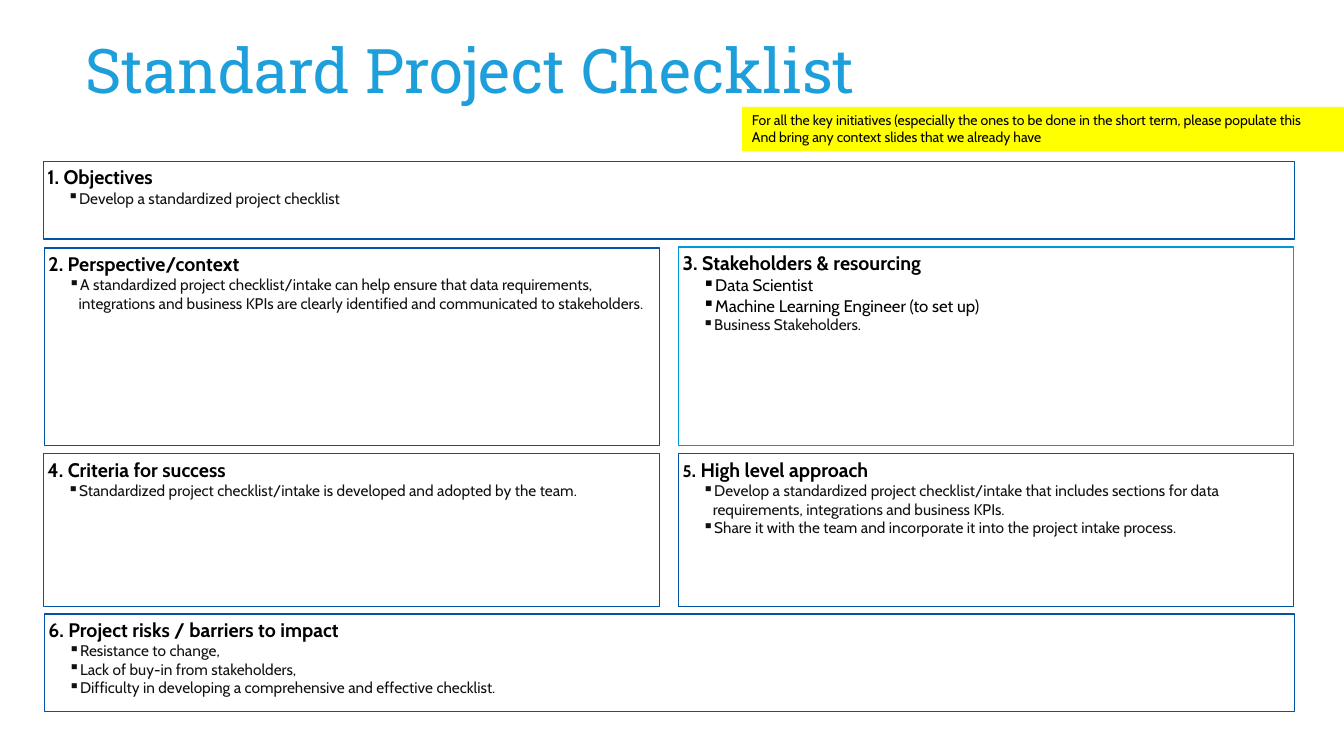
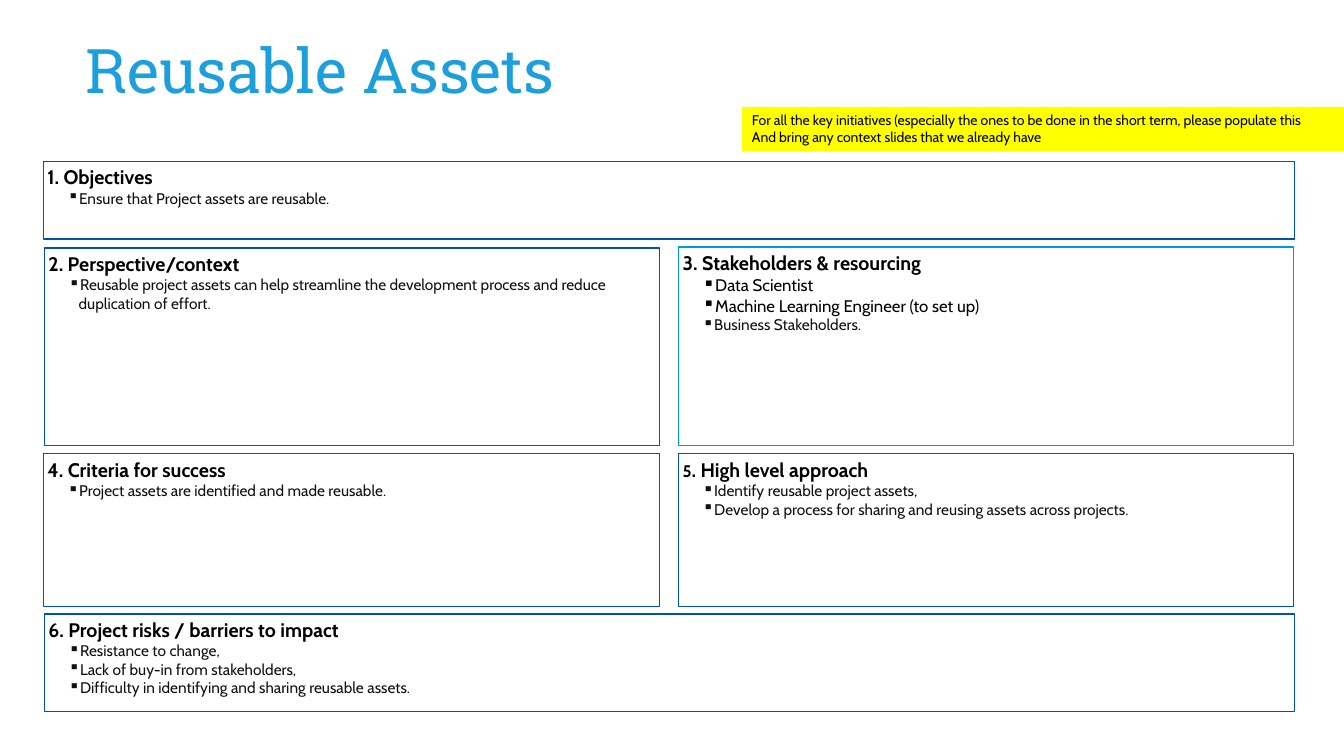
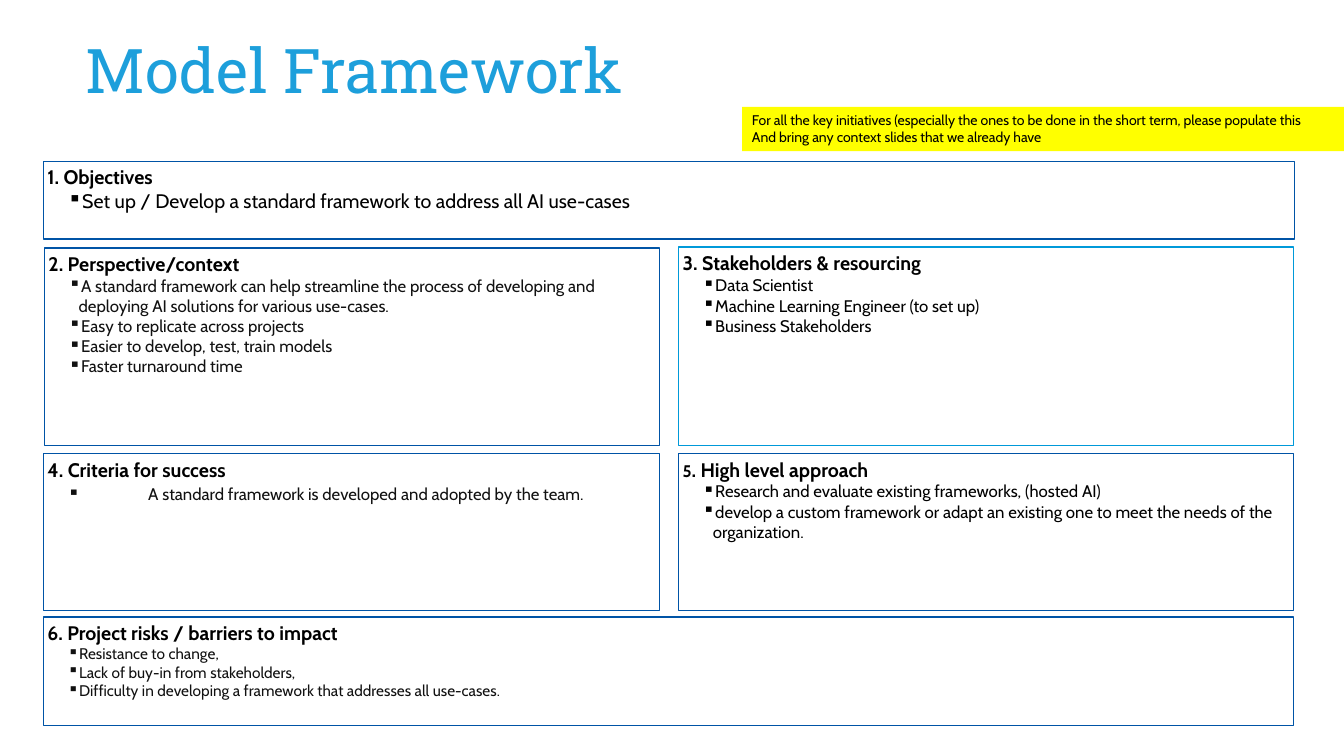
from lxml import etree
from pptx import Presentation
from pptx.dml.color import RGBColor
from pptx.enum.shapes import MSO_SHAPE
from pptx.enum.text import MSO_ANCHOR, MSO_AUTO_SIZE, PP_ALIGN
from pptx.oxml.ns import qn
from pptx.util import Inches, Pt

RECTANGLE = MSO_SHAPE.RECTANGLE
TOP, MIDDLE = MSO_ANCHOR.TOP, MSO_ANCHOR.MIDDLE
LEFT = PP_ALIGN.LEFT
GROW = MSO_AUTO_SIZE.SHAPE_TO_FIT_TEXT

COLORS = {"title": "1D9FDB", "border": "0054A6", "accent": "0099D9",
          "note": "FFFF00", "heading": "000000", "body": "111111"}
TITLE_FONT, BODY_FONT = "Roboto Slab", "Cabin"

# Bullet styles: size in points, colour
SMALL, MEDIUM = (11, "body"), (12, "body")
STRONG, LARGE = (12, "heading"), (14, "heading")
INDENT, WIDE_INDENT, BULLET_AT = 0.3, 1.0, 0.2

# Headings as runs of (text, size)
HEADINGS = {
    "objectives": [("1. Objectives", 14)],
    "context": [("2. Perspective/context", 14)],
    "resourcing": [("3. Stakeholders & resourcing", 14)],
    "criteria": [("4. Criteria for success", 14)],
    "approach": [("5", 12), (". High level approach", 14)],
    "risks": [("6. Project risks / barriers to impact", 14)],
}
NOTE = [
    "For all the key initiatives (especially the ones to be done in the short term, please populate this",
    "And bring any context slides that we already have",
]
TEAM = [("Data Scientist", STRONG), ("Machine Learning Engineer (to set up)", STRONG)]
COMMON_RISKS = [("Resistance to change,", SMALL),
                ("Lack of buy-in from stakeholders,", SMALL)]

# Card positions: left, top, width, height
CARDS = {
    "objectives": (0.43, 1.6, 12.41, 0.77),
    "context": (0.44, 2.46, 6.1, 1.96),
    "resourcing": (6.73, 2.45, 6.1, 1.97),
    "criteria": (0.43, 4.5, 6.11, 1.52),
    "approach": (6.73, 4.5, 6.1, 1.52),
    "risks": (0.44, 6.09, 12.4, 0.97),
}
TALL_CARDS = CARDS | {
    "criteria": (0.43, 4.5, 6.11, 1.56),
    "approach": (6.73, 4.5, 6.1, 1.56),
    "risks": (0.43, 6.12, 12.4, 1.08),
}
TEAM_AREA = (6.73, 2.69, 6.1, 1.73)
TITLE_AREA = (0.75, 0.14, 11.7, 1.17)
NOTE_AREA = (7.36, 1.06, 6.1, 0.44)

PROJECTS = [
    {"title": "Standard Project Checklist", "cards": CARDS,
     "objectives": [("Develop a standardized project checklist", SMALL)],
     "context": [("A standardized project checklist/intake can help ensure that data requirements, "
                  "integrations and business KPIs are clearly identified and communicated to "
                  "stakeholders.", SMALL)],
     "team": TEAM + [("Business Stakeholders.", SMALL)],
     "criteria": [("Standardized project checklist/intake is developed and adopted by the team.", SMALL)],
     "approach": [("Develop a standardized project checklist/intake that includes sections for data "
                   "requirements, integrations and business KPIs.", SMALL),
                  ("Share it with the team and incorporate it into the project intake process.", SMALL)],
     "risks": COMMON_RISKS + [
         ("Difficulty in developing a comprehensive and effective checklist.", SMALL)]},
    {"title": "Reusable Assets", "cards": CARDS,
     "objectives": [("Ensure that Project assets are reusable.", SMALL)],
     "context": [("Reusable project assets can help streamline the development process and reduce "
                  "duplication of effort.", SMALL)],
     "team": TEAM + [("Business Stakeholders.", SMALL)],
     "criteria": [("Project assets are identified and made reusable.", SMALL)],
     "approach": [("Identify reusable project assets,", SMALL),
                  ("Develop a process for sharing and reusing assets across projects.", SMALL)],
     "risks": COMMON_RISKS + [
         ("Difficulty in identifying and sharing reusable assets.", SMALL)]},
    {"title": "Model Framework", "cards": TALL_CARDS, "wide": "criteria",
     "objectives": [("Set up / Develop a standard framework to address all AI use-cases", LARGE)],
     "context": [("A standard framework can help streamline the process of developing and deploying "
                  "AI solutions for various use-cases.", MEDIUM),
                 ("Easy to replicate across projects", MEDIUM),
                 ("Easier to develop, test, train models", MEDIUM),
                 ("Faster turnaround time", MEDIUM)],
     "team": TEAM + [("Business Stakeholders", STRONG)],
     "criteria": [("A standard framework is developed and adopted by the team.", MEDIUM)],
     "approach": [("Research and evaluate existing frameworks, (hosted AI)", STRONG),
                  ("develop a custom framework or adapt an existing one to meet the needs of the "
                   "organization.", STRONG)],
     "risks": COMMON_RISKS + [
         ("Difficulty in developing a framework that addresses all use-cases.", SMALL)]},
]


def color(key):
    return RGBColor.from_string(COLORS[key])


def add_run(paragraph, text, size, color_key, font=BODY_FONT, bold=False):
    run = paragraph.add_run()
    run.text = text
    run.font.size, run.font.name, run.font.bold = Pt(size), font, bold
    run.font.color.rgb = color(color_key)


def next_paragraph(frame):
    """Use the first paragraph while it is empty, then append."""
    first = frame.paragraphs[0]
    paragraph = frame.add_paragraph() if first.runs else first
    paragraph.alignment = LEFT
    return paragraph


def add_box(slide, area, fill=None, line=None):
    box = slide.shapes.add_shape(RECTANGLE, *map(Inches, area))
    box.shadow.inherit = False
    if fill:
        box.fill.solid()
        box.fill.fore_color.rgb = color(fill)
    else:
        box.fill.background()
    if line:
        box.line.color.rgb = color(line)
        box.line.width = Pt(1)
    else:
        box.line.fill.background()
    box.text_frame.vertical_anchor = TOP
    box.text_frame.word_wrap = True
    return box.text_frame


def set_insets(frame):
    frame.word_wrap = True
    frame.margin_left = frame.margin_top = Inches(0.04)
    frame.margin_right = frame.margin_bottom = Inches(0.04)


def add_bullets(frame, bullets, indent=INDENT):
    for text, (size, color_key) in bullets:
        paragraph = next_paragraph(frame)
        properties = paragraph._p.get_or_add_pPr()
        properties.set("marL", str(Inches(indent)))
        properties.set("indent", str(Inches(BULLET_AT - indent)))
        if indent == WIDE_INDENT:
            paragraph.space_before = Pt(2)
        etree.SubElement(properties, qn("a:buChar")).set("char", "▪")
        add_run(paragraph, text, size, color_key)


def add_title(slide, text):
    frame = slide.shapes.add_textbox(*map(Inches, TITLE_AREA)).text_frame
    frame.word_wrap = True
    frame.vertical_anchor = MIDDLE
    paragraph = next_paragraph(frame)
    paragraph.line_spacing = 0.9
    add_run(paragraph, text, 44, "title", TITLE_FONT)


def add_card(slide, topic, project):
    line = "accent" if topic == "resourcing" else "border"
    frame = add_box(slide, project["cards"][topic], line=line)
    set_insets(frame)
    heading = next_paragraph(frame)
    for text, size in HEADINGS[topic]:
        add_run(heading, text, size, "heading", bold=True)
    indent = WIDE_INDENT if project.get("wide") == topic else INDENT
    add_bullets(frame, project.get(topic, []), indent)


def add_note(slide):
    frame = add_box(slide, NOTE_AREA, fill="note")
    frame.auto_size = GROW
    for text in NOTE:
        add_run(next_paragraph(frame), text, 10, "heading")


def main():
    deck = Presentation()
    deck.slide_width, deck.slide_height = Inches(13.33), Inches(7.5)
    blank = deck.slide_layouts[6]
    for project in PROJECTS:
        slide = deck.slides.add_slide(blank)
        add_title(slide, project["title"])
        for topic in HEADINGS:
            add_card(slide, topic, project)
        # Team list under the resourcing heading
        team = slide.shapes.add_textbox(*map(Inches, TEAM_AREA)).text_frame
        set_insets(team)
        add_bullets(team, project["team"])
        add_note(slide)
    deck.save("out.pptx")


if __name__ == "__main__":
    main()
